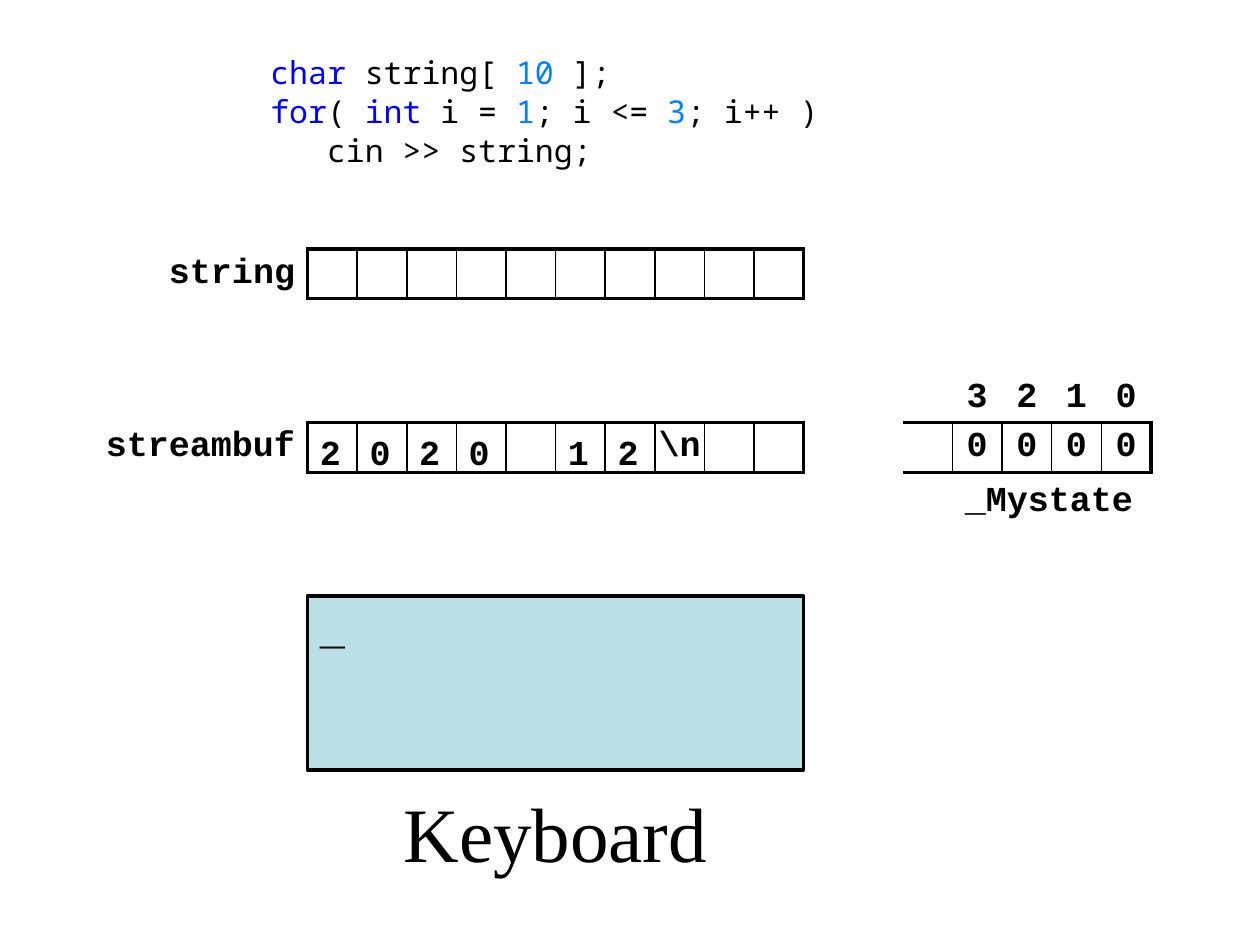
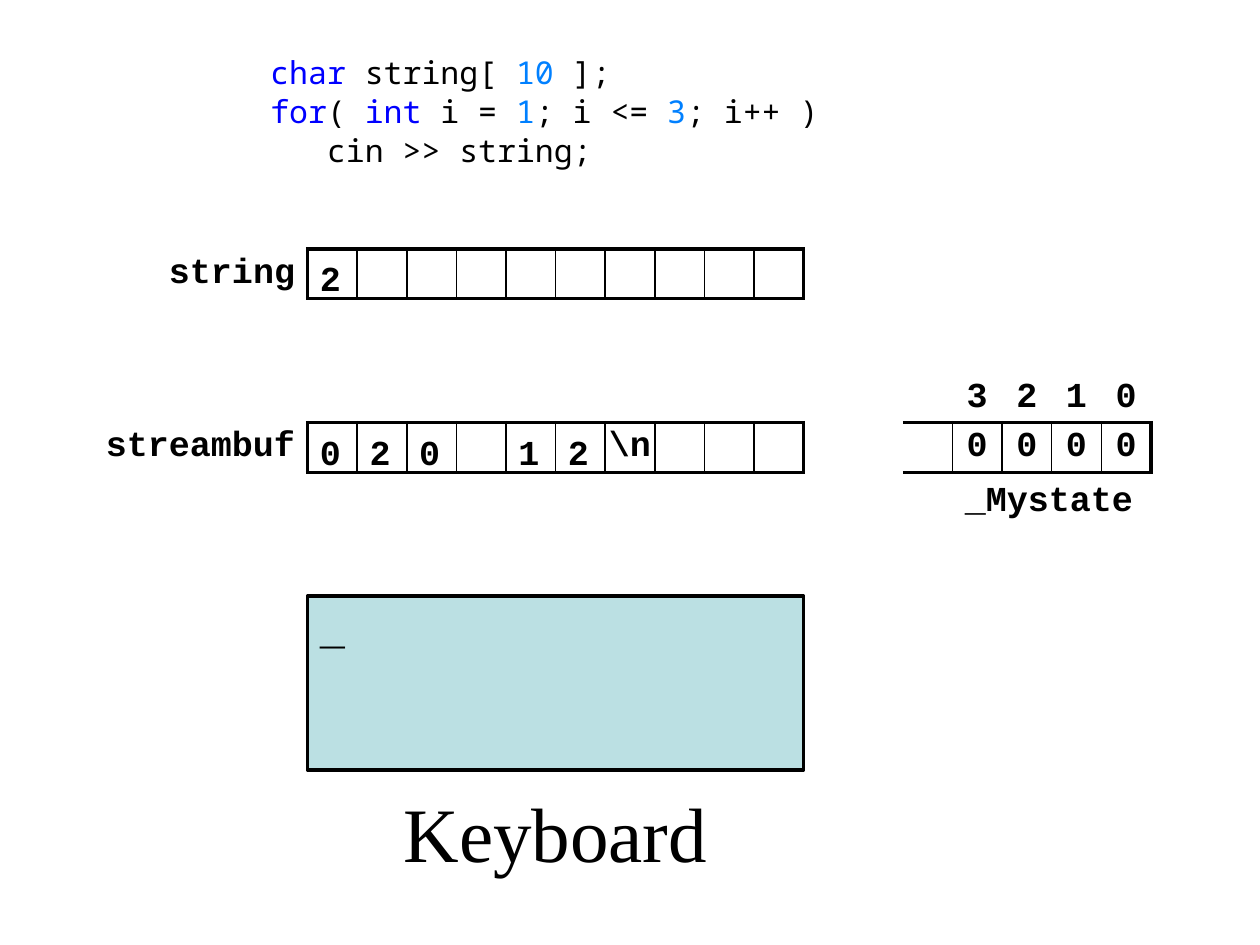
import pptx
import pptx.util
import pptx.dml.color
import pptx.enum.shapes
import pptx.enum.text
import pptx.oxml
import pptx.oxml.ns

# The grid: one memory cell is 1 cm square, bands lie 3.5 cm apart
CELL = pptx.util.Cm(1)
LEFT, TOP, STEP, COUNT = 6.2, 5.02, 3.5, 10
STRING, BUFFER, SCREEN, CAPTION = [TOP + STEP * i for i in range(4)]
THICK, THIN = 2.25, 1

BLACK, BLUE, AZURE, TEAL = "000000", "0000FF", "0080FF", "BBE0E3"
MONO, CODE, SERIF = "Courier New", "Noto Sans Mono", "Times New Roman"
ALIGN = pptx.enum.text.PP_ALIGN
ANCHOR = pptx.enum.text.MSO_ANCHOR

SOURCE = [
    [("char", BLUE), (" string[ ", BLACK), ("10", AZURE), (" ];", BLACK)],
    [("for", BLUE), ("( ", BLACK), ("int", BLUE), (" i = ", BLACK),
     ("1", AZURE), ("; i <= ", BLACK), ("3", AZURE), ("; i++ )", BLACK)],
    [("cin >> string;", BLACK)],
]
# Contents of string and of streambuf before its line end
STATES = [("", "2020 12"), ("2", "020 12")]


def color(value):
    return pptx.dml.color.RGBColor.from_string(value)


def grid(*cells):
    return [round(CELL * n) for n in cells]


def style(run, size, face, bold=False, ink=BLACK):
    font = run.font
    font.size, font.name, font.bold = pptx.util.Pt(size), face, bold
    font.color.rgb = color(ink)


def inset(part, *sides):
    """Margins in grid cells: left, top, right, bottom."""
    (part.margin_left, part.margin_top,
     part.margin_right, part.margin_bottom) = grid(*sides)


def write(frame, text, size=20, face=MONO, bold=True, align=ALIGN.LEFT):
    frame.text = text
    line = frame.paragraphs[0]
    line.alignment = align
    for run in line.runs:
        style(run, size, face, bold)


def label(slide, box, text, sides, **look):
    frame = slide.shapes.add_textbox(*grid(*box)).text_frame
    frame.word_wrap = True
    frame.vertical_anchor = ANCHOR.MIDDLE
    inset(frame, *sides)
    write(frame, text, **look)


def border(cell, widths):
    """Line widths in points: left, right, top, bottom; 0 is no line."""
    props = cell._tc.get_or_add_tcPr()
    for i, (side, width) in enumerate(zip("LRTB", widths)):
        fill = (f'<a:solidFill><a:srgbClr val="{BLACK}"/></a:solidFill>'
                if width else "<a:noFill/>")
        props.insert(i, pptx.oxml.parse_xml(
            f'<a:ln{side} {pptx.oxml.ns.nsdecls("a")} '
            f'w="{pptx.util.Pt(width)}">{fill}</a:ln{side}>'))


def memory(slide, x, y, widths, rows, texts, first=0):
    """Table whose last row, from column first on, is a strip of cells."""
    end, last = rows - 1, len(widths) - 1
    table = slide.shapes.add_table(
        rows, len(widths), *grid(x, y, sum(widths), rows)).table
    table.first_row = table.horz_banding = False
    for col, width in zip(table.columns, widths):
        col.width = grid(width)[0]
    for r in range(rows):
        table.rows[r].height = CELL
        for c in range(len(widths)):
            cell = table.cell(r, c)
            strip, name = r == end and c >= first, r == end and c < first
            cell.fill.background()
            cell.vertical_anchor = ANCHOR.MIDDLE
            inset(cell, 0, 0, 0.25 if name else 0, 0)
            write(cell.text_frame, texts.get((r, c), ""),
                  align=ALIGN.RIGHT if name else ALIGN.CENTER)
            left = (THIN if c > first else THICK if first else 0)
            right = THICK if name or c == last else THIN
            under = r == end - 1 and c >= first
            border(cell, (left if strip else 0,
                          right if strip or name else 0,
                          THICK if strip else 0,
                          THICK if strip or under else 0))


def listing(slide, x, y, w, h):
    frame = slide.shapes.add_textbox(*grid(x, y, w, h)).text_frame
    frame.word_wrap = True
    inset(frame, 0.25, 0.13, 0.1, 0.13)
    for i, parts in enumerate(SOURCE):
        line = frame.paragraphs[0] if i == 0 else frame.add_paragraph()
        line.line_spacing, line.space_before = 0.9, pptx.util.Pt(3)
        for text, ink in parts:
            run = line.add_run()
            run.text = text
            style(run, 18, CODE, ink=ink)
    # The loop body is indented by three characters
    line._p.get_or_add_pPr().set("marL", str(pptx.util.Pt(32.4)))


def array(slide, name, y, head, rows, digits, texts):
    """Named strip of ten cells with digits laid over it."""
    memory(slide, LEFT - head, y - rows + 1, [head] + [1] * COUNT, rows,
           {(rows - 1, 0): name, **texts}, first=1)
    for i, digit in enumerate(digits):
        if digit != " ":
            label(slide, (LEFT + i, y, 1, 1), digit, (0.25, 0.15, 0.25, 0))


def flags(slide, x, y):
    texts = {(0, 4 - bit): str(bit) for bit in range(4)}
    texts.update({(1, 4 - bit): "0" for bit in range(4)})
    label(slide, (x + 1, y + 1, 4, 1), "_Mystate", (0.25, 0, 0.25, 0))
    memory(slide, x, y - 1, [1] * 5, 2, texts)


def keyboard(slide, x, y, w, h):
    screen = slide.shapes.add_shape(
        pptx.enum.shapes.MSO_SHAPE.RECTANGLE, *grid(x, y, w, h))
    screen.shadow.inherit = False
    screen.fill.solid()
    screen.fill.fore_color.rgb = color(TEAL)
    screen.line.color.rgb = color(BLACK)
    screen.line.width = pptx.util.Pt(THICK)
    screen.text_frame.vertical_anchor = ANCHOR.TOP
    write(screen.text_frame, "_", size=24)
    label(slide, (x + 1.5, y + h, w - 3, 2.5), "Keyboard",
          (0.25, 0.13, 0.25, 0.13), size=44, face=SERIF, bold=False,
          align=ALIGN.CENTER)


def build(slide, string, buffer):
    listing(slide, 5.2, 1.02, 11.5, 3)
    array(slide, "string", STRING, 3, 1, string, {})
    array(slide, "streambuf", BUFFER, 5.5, 2, buffer,
          {(1, len(buffer) + 1): r"\n"})
    flags(slide, 18.2, BUFFER)
    keyboard(slide, LEFT, SCREEN, COUNT, CAPTION - SCREEN)


def main():
    deck = pptx.Presentation()
    deck.slide_width = pptx.util.Inches(10)
    deck.slide_height = pptx.util.Inches(7.5)
    for string, buffer in STATES:
        build(deck.slides.add_slide(deck.slide_layouts[6]), string, buffer)
    deck.save("out.pptx")


if __name__ == "__main__":
    main()
